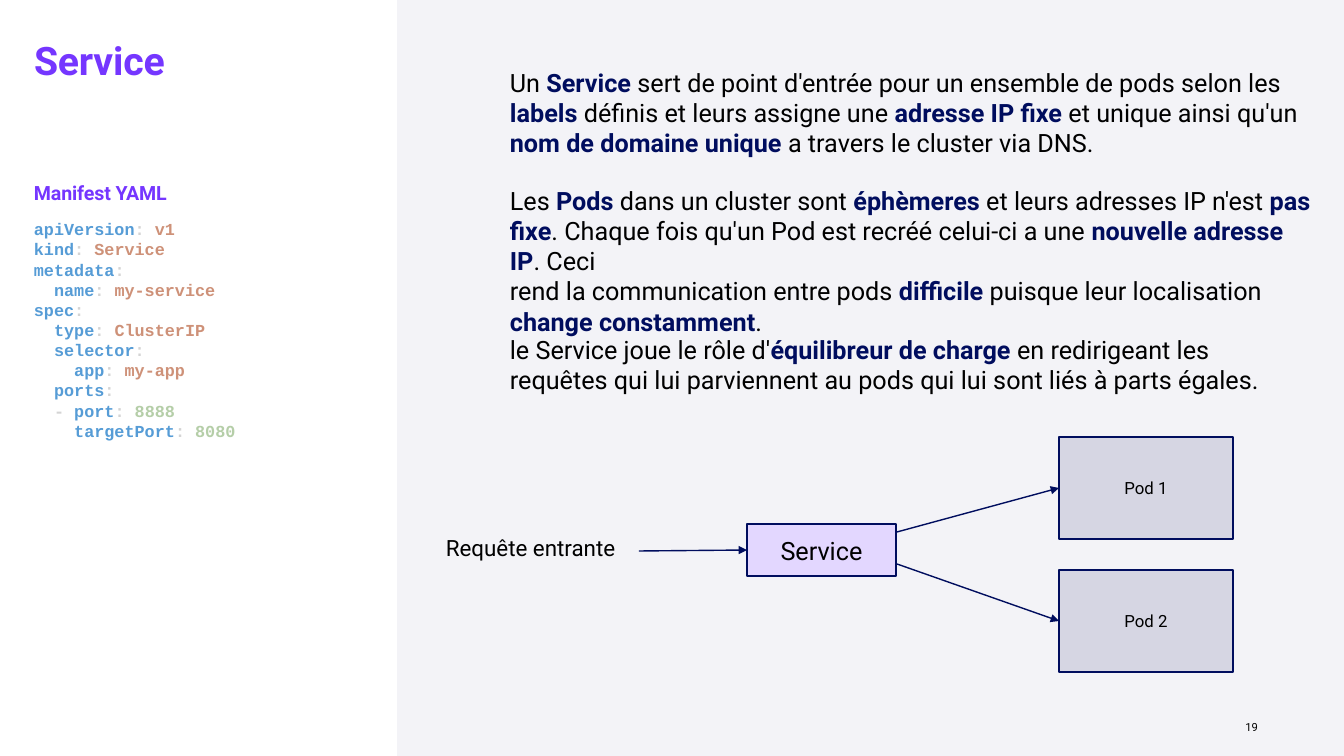
import pptx
import pptx.util
import pptx.dml.color
import pptx.enum.shapes
import pptx.enum.text
import pptx.oxml.ns
from dataclasses import dataclass
from lxml import etree

# Content: in each paragraph, every second run is strong
TITLE = "Service"
SUB = "Manifest YAML"
PAGE = "19"
PARAS = [
    ((500, 62, 839, 102), [
        ["Un ", "Service ",
         "sert de point d'entrée pour un ensemble de pods selon les ",
         "labels ", "définis et leurs assigne une ", "adresse IP fixe",
         " et unique ainsi qu'un ", "nom de domaine unique",
         " a travers le cluster via DNS."]]),
    ((500, 180, 827, 132), [
        ["Les ", "Pods ", "dans un cluster sont ", "éphèmeres",
         " et leurs adresses IP n'est ", "pas fixe",
         ". Chaque fois qu'un Pod est recréé celui-ci a une ",
         "nouvelle adresse IP", ". Ceci"],
        ["rend la communication entre pods ", "difficile ",
         "puisque leur localisation"],
        ["", "change constamment", "."]]),
    ((500, 329, 816, 72), [
        ["le Service joue le rôle d'", "équilibreur de charge ",
         "en redirigeant les requêtes qui lui parviennent au pods "
         "qui lui sont liés à parts égales."]]),
]
YAML = [
    ("", "apiVersion", "v1"),
    ("", "kind", "Service"),
    ("", "metadata", ""),
    ("  ", "name", "my-service"),
    ("", "spec", ""),
    ("  ", "type", "ClusterIP"),
    ("  ", "selector", ""),
    ("    ", "app", "my-app"),
    ("  ", "ports", ""),
    ("  - ", "port", "8888"),
    ("    ", "targetPort", "8080"),
]
PODS = ["Pod 1", "Pod 2"]
ENTRY = "Requête entrante"


@dataclass(frozen=True)
class Theme:
    font: str = "Roboto"
    mono: str = "Courier New"
    panel: str = "F3F3F7"
    head: str = "7536FF"
    ink: str = "000000"
    navy: str = "000D5E"
    lilac: str = "E3D7FF"
    grey: str = "D6D6E3"
    key: str = "569CD6"
    mark: str = "D4D4D4"
    word: str = "CE9178"
    num: str = "B5CEA8"
    big: int = 28
    body: int = 18
    label: int = 16
    sub: int = 14
    small: int = 12
    tiny: int = 8


T = Theme()
WIDE, HIGH = 1344, 756
SCALE = 12192000 / WIDE
ALIGN = pptx.enum.text.PP_ALIGN
ANCHOR = pptx.enum.text.MSO_ANCHOR


# Helpers
def emu(px):
    return pptx.util.Emu(round(px * SCALE))


def rgb(code):
    return pptx.dml.color.RGBColor.from_string(code)


def add_run(para, text, size, color, bold=False, font=T.font):
    run = para.add_run()
    run.text = text
    run.font.name = font
    run.font.size = pptx.util.Pt(size)
    run.font.bold = bold
    run.font.color.rgb = rgb(color)
    return run


def get_para(frame, i):
    return frame.paragraphs[0] if i == 0 else frame.add_paragraph()


def add_text(area):
    frame = slide.shapes.add_textbox(*map(emu, area)).text_frame
    frame.word_wrap = True
    return frame


def add_rect(area, fill, line=None):
    kind = pptx.enum.shapes.MSO_SHAPE.RECTANGLE
    box = slide.shapes.add_shape(kind, *map(emu, area))
    box.shadow.inherit = False
    box.fill.solid()
    box.fill.fore_color.rgb = rgb(fill)
    if line:
        box.line.color.rgb = rgb(line)
        box.line.width = pptx.util.Pt(1)
    else:
        box.line.fill.background()
    return box


def add_node(area, text, size, fill):
    box = add_rect(area, fill, T.navy)
    box.text_frame.vertical_anchor = ANCHOR.MIDDLE
    para = box.text_frame.paragraphs[0]
    para.alignment = ALIGN.CENTER
    add_run(para, text, size, T.ink)
    return box


def add_arrow(start, box):
    kind = pptx.enum.shapes.MSO_CONNECTOR.STRAIGHT
    x, y = map(emu, start)
    link = slide.shapes.add_connector(kind, x, y, x, y)
    link.end_connect(box, 1)
    link.line.color.rgb = rgb(T.navy)
    link.line.width = pptx.util.Pt(1)
    tag = pptx.oxml.ns.qn
    etree.SubElement(link.line._get_or_add_ln(), tag("a:tailEnd"),
                     type="triangle")
    etree.SubElement(link._element.spPr, tag("a:effectLst"))


def set_head(frame, text, size):
    para = frame.paragraphs[0]
    para.alignment = ALIGN.LEFT
    para.line_spacing = 0.9
    run = add_run(para, text, size, T.head, True)
    run.font._element.set("spc", "-10")


# Slide and side panel
deck = pptx.Presentation()
deck.slide_width, deck.slide_height = emu(WIDE), emu(HIGH)
slide = deck.slides.add_slide(deck.slide_layouts[5])
add_rect((397, 0, WIDE - 397, HIGH), T.panel)

# Headings and page number
title = slide.shapes.title
title.left, title.top, title.width, title.height = map(
    emu, (24, 37, 351, 130))
title.text_frame.vertical_anchor = ANCHOR.TOP
title.text_frame.auto_size = pptx.enum.text.MSO_AUTO_SIZE.NONE
set_head(title.text_frame, TITLE, T.big)
set_head(add_text((24, 179, 190, 34)), SUB, T.sub)
para = add_text((966, 715, 302, 26)).paragraphs[0]
para.alignment = ALIGN.RIGHT
add_run(para, PAGE, T.tiny, T.ink)

# Explanation
for area, paras in PARAS:
    frame = add_text(area)
    for i, parts in enumerate(paras):
        para = get_para(frame, i)
        for j, part in enumerate(parts):
            strong = j % 2 == 1
            if part:
                add_run(para, part, T.body, T.navy if strong else T.ink,
                        strong)

# Manifest code
frame = add_text((24, 214, 302, 254))
for i, (lead, key, value) in enumerate(YAML):
    para = get_para(frame, i)
    tint = T.num if value.isdigit() else T.word
    colon = ": " if value else ":"
    for part, color in ((lead, T.mark), (key, T.key), (colon, T.mark),
                        (value, tint)):
        if part:
            add_run(para, part, T.small, color, True, T.mono)

# Diagram: request, service, pods
add_run(add_text((436, 529, 232, 37)).paragraphs[0], ENTRY, T.label, T.ink)
hub = add_node((747, 524, 149, 52), TITLE, T.body, T.lilac)
add_arrow((639, 551), hub)
for i, name in enumerate(PODS):
    pod = add_node((1059, 437 + 133 * i, 174, 102), name, T.small, T.grey)
    add_arrow((897, 532 + 32 * i), pod)

deck.save("out.pptx")
